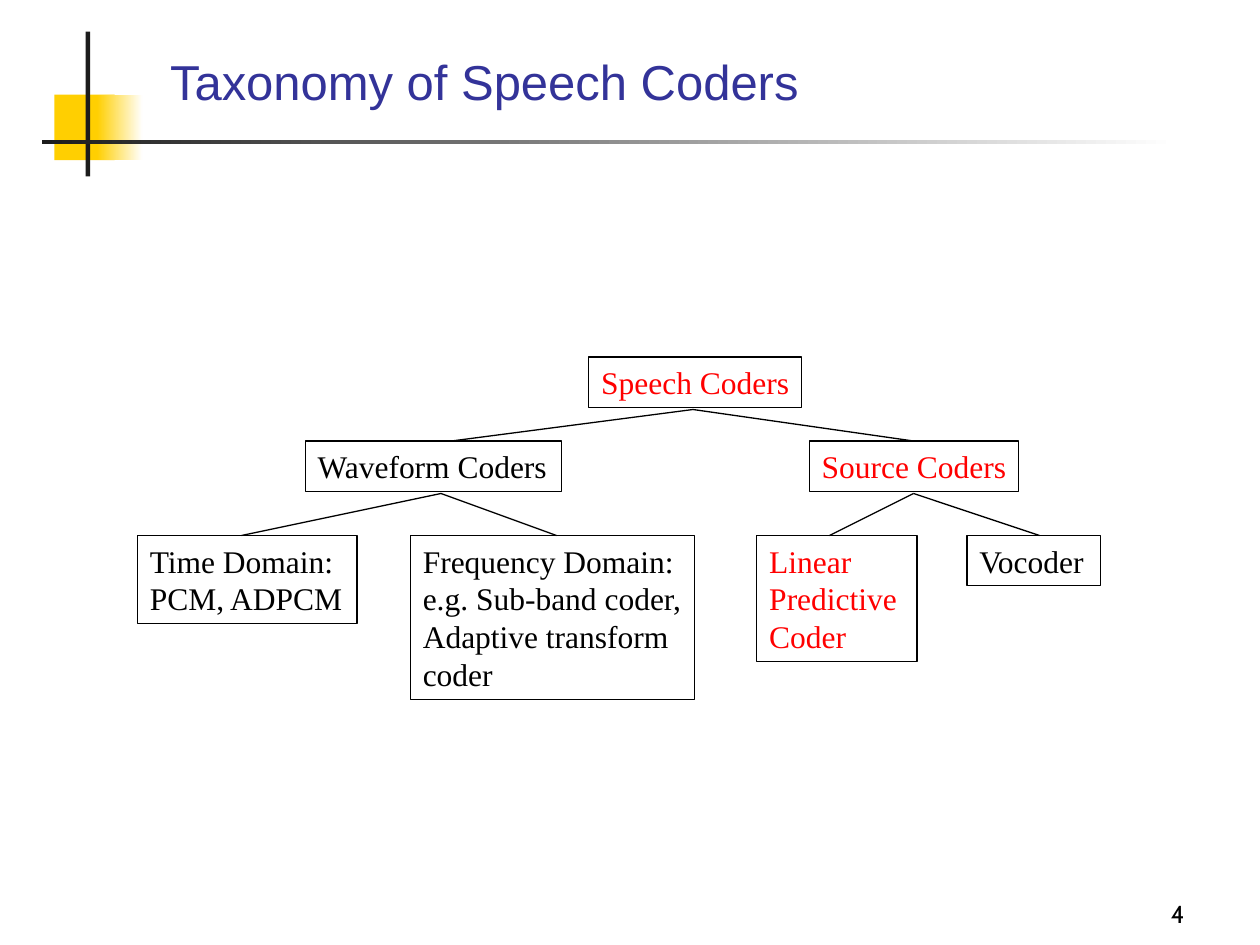
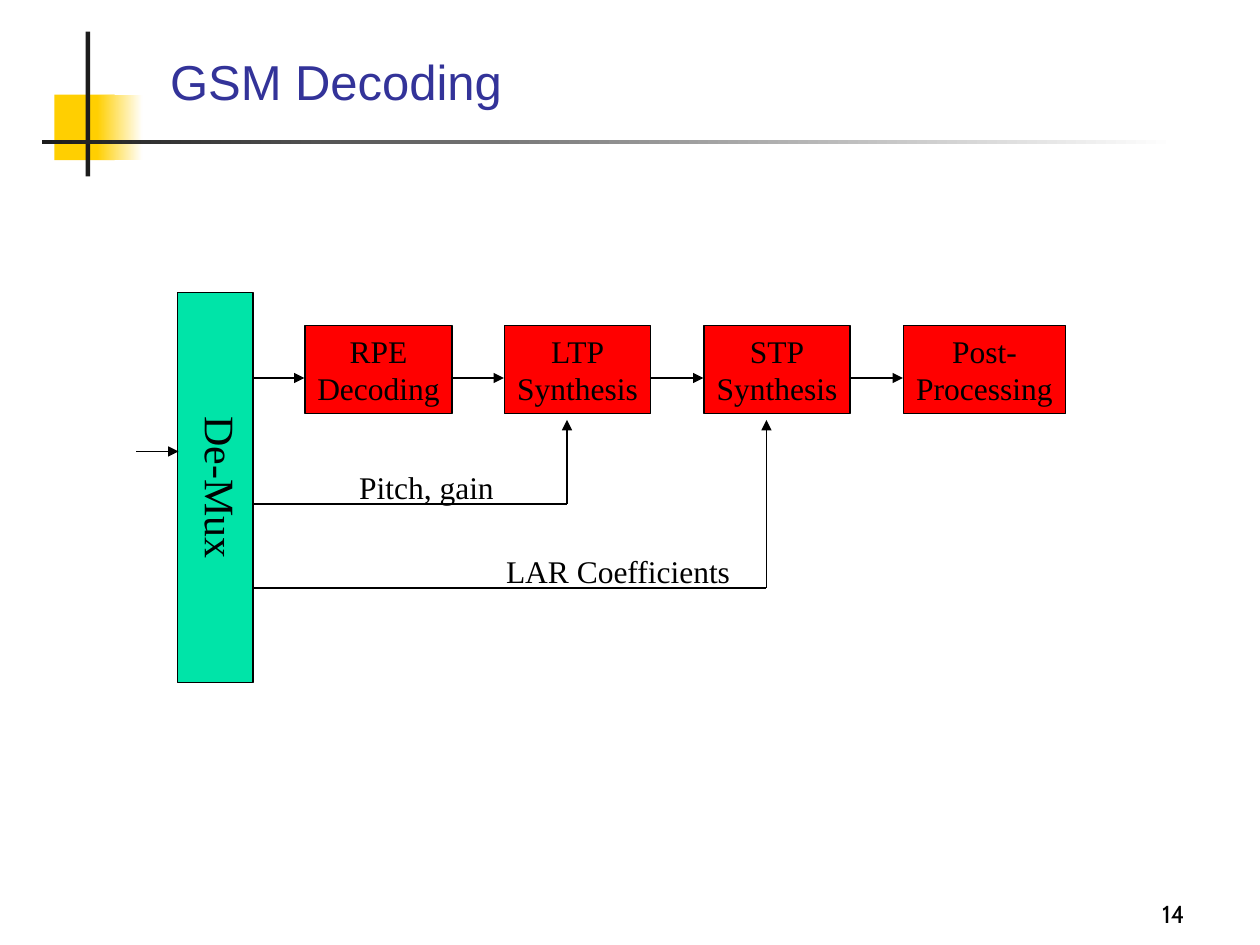
from dataclasses import dataclass

from lxml.etree import SubElement
from pptx import Presentation
from pptx.dml.color import RGBColor as Color
from pptx.enum.shapes import MSO_CONNECTOR as Connector, MSO_SHAPE as Shape
from pptx.enum.text import MSO_ANCHOR as Anchor, MSO_AUTO_SIZE as AutoSize, PP_ALIGN as Align
from pptx.oxml.ns import qn
from pptx.util import Pt


@dataclass(frozen=True)
class Theme:
    title: Color = Color(0x33, 0x33, 0x99)
    ink: Color = Color(0, 0, 0)
    accent: Color = Color(0xFF, 0, 0)
    demux: Color = Color(0, 0xE4, 0xA8)
    band_yellow: Color = Color(0xFF, 0xCF, 0x01)
    band_dark: Color = Color(0x1C, 0x1C, 0x1C)
    background: Color = Color(0xFF, 0xFF, 0xFF)
    title_font: str = "Arial"
    body_font: str = "Times New Roman"
    number_font: str = "Cabin"
    title_size: int = 28
    demux_size: int = 24
    body_size: int = 18
    number_size: int = 14
    line_width: float = 0.75


THEME = Theme()
TITLE_ONLY = 5


def set_text(shape, text, color=THEME.ink, size=THEME.body_size,
             font=THEME.body_font, align=Align.LEFT):
    shape.text_frame.text = text
    for paragraph in shape.text_frame.paragraphs:
        paragraph.alignment = align
        for run in paragraph.runs:
            run.font.name = font
            run.font.size = Pt(size)
            run.font.color.rgb = color


def add_rectangle(slide, left, top, width, height):
    shape = slide.shapes.add_shape(Shape.RECTANGLE, Pt(left), Pt(top), Pt(width), Pt(height))
    shape.shadow.inherit = False
    return shape


def fill_shape(shape, color, fade_to=None):
    """Fill solidly, or with a left-to-right gradient when fade_to is given."""
    if fade_to is None:
        shape.fill.solid()
        shape.fill.fore_color.rgb = color
        return
    shape.fill.gradient()
    shape.fill.gradient_angle = 0
    for stop, stop_color, position in zip(shape.fill.gradient_stops, (color, fade_to), (0, 1)):
        stop.color.rgb = stop_color
        stop.position = position


def outline(shape):
    shape.line.color.rgb = THEME.ink
    shape.line.width = Pt(THEME.line_width)


def fit_lines(shape, align):
    """Keep the lines as typed, with spare room at the margins so that none wraps."""
    frame = shape.text_frame
    frame.word_wrap = False
    frame.auto_size = AutoSize.SHAPE_TO_FIT_TEXT
    frame.vertical_anchor = Anchor.TOP
    frame.margin_right = Pt(3.6)
    frame.margin_left = Pt(3.6 if align == Align.CENTER else 7.2)


def box_height(text):
    return 7.2 + 21.6 * len(text.split("\n"))


def add_box(slide, text, left, top, width, color=THEME.ink, fill=None, align=Align.LEFT):
    shape = add_rectangle(slide, left, top, width, box_height(text))
    if fill is None:
        shape.fill.background()
    else:
        fill_shape(shape, fill)
    outline(shape)
    set_text(shape, text, color, align=align)
    fit_lines(shape, align)


def add_label(slide, text, left, top, width):
    label = slide.shapes.add_textbox(Pt(left), Pt(top), Pt(width), Pt(box_height(text)))
    set_text(label, text, align=Align.CENTER)
    fit_lines(label, Align.CENTER)


def add_line(slide, start, end, arrow=False):
    points = [Pt(value) for value in (*start, *end)]
    line = slide.shapes.add_connector(Connector.STRAIGHT, *points)
    outline(line)
    properties = line.element.spPr
    if arrow:
        SubElement(properties.find(qn("a:ln")), qn("a:tailEnd"), type="triangle")
    SubElement(properties, qn("a:effectLst"))


def add_slide(presentation, title, number):
    slide = presentation.slides.add_slide(presentation.slide_layouts[TITLE_ONLY])
    set_text(slide.shapes.title, title, THEME.title, THEME.title_size, THEME.title_font)
    number_box = slide.shapes.add_textbox(Pt(534), Pt(498), Pt(150), Pt(36))
    number_box.text_frame.word_wrap = True
    number_box.text_frame.vertical_anchor = Anchor.BOTTOM
    set_text(number_box, str(number), size=THEME.number_size,
             font=THEME.number_font, align=Align.RIGHT)
    return slide


def place_layout_title(layout):
    title = layout.placeholders[0]
    title.left, title.top, title.width, title.height = Pt(90), Pt(18), Pt(613.5), Pt(48.5)
    title.text_frame.vertical_anchor = Anchor.BOTTOM


def add_layout_band(slide):
    """Draw the cross and square on a slide, then move them to its layout."""
    bars = [
        ((31, 54, 34.5, 37.5), THEME.band_yellow, None),
        ((55.5, 54, 26, 37.5), THEME.band_yellow, THEME.background),
        ((49, 18, 2.5, 82.8), THEME.band_dark, None),
        ((24, 80, 648, 2.5), THEME.band_dark, THEME.background),
    ]
    for bounds, color, fade_to in bars:
        bar = add_rectangle(slide, *bounds)
        fill_shape(bar, color, fade_to)
        bar.line.fill.background()
        slide.slide_layout.shapes.element.append(bar.element)


def draw_taxonomy(slide):
    root_top, family_top, coder_top = 204, 252, 306
    nodes = [
        ("Speech Coders", 336.5, root_top, 121.5, THEME.accent),
        ("Waveform Coders", 174.5, family_top, 146.5, THEME.ink),
        ("Source Coders", 462.5, family_top, 119.5, THEME.accent),
        ("Time Domain:\nPCM, ADPCM", 78.5, coder_top, 125.5, THEME.ink),
        ("Frequency Domain:\ne.g. Sub-band coder,\nAdaptive transform\ncoder",
         234.5, coder_top, 162.5, THEME.ink),
        ("Linear\nPredictive\nCoder", 432.5, coder_top, 91.5, THEME.accent),
        ("Vocoder", 552.5, coder_top, 76.5, THEME.ink),
    ]
    for node in nodes:
        add_box(slide, *node)

    branches = [
        (252, family_top, (138, 318), coder_top),
        (522, family_top, (474, 594), coder_top),
        (396, root_top, (258, 522), family_top),
    ]
    for parent_x, parent_top, child_xs, child_top in branches:
        for child_x in child_xs:
            add_line(slide, (parent_x, parent_top + 30), (child_x, child_top))


def add_demux(slide):
    demux = add_rectangle(slide, 101.5, 167, 43.2, 223.2)
    fill_shape(demux, THEME.demux)
    outline(demux)
    set_text(demux, "De-Mux", size=THEME.demux_size, align=Align.CENTER)
    frame = demux.text_frame
    frame.word_wrap = True
    frame.auto_size = AutoSize.SHAPE_TO_FIT_TEXT
    frame.vertical_anchor = Anchor.TOP
    frame.margin_left = frame.margin_right = Pt(3.6)
    frame.margin_top = frame.margin_bottom = Pt(7.2)
    body = demux.element.txBody.find(qn("a:bodyPr"))
    body.set("vert", "eaVert")
    body.set("anchorCtr", "1")


def draw_decoder(slide):
    first_left, stage_step, stage_top, arrow_y = 174.3, 114, 186, 216
    demux_right, arrow_length = 144, 30
    stages = [("RPE\nDecoding", 84), ("LTP\nSynthesis", 83.5),
              ("STP\nSynthesis", 83.5), ("Post-\nProcessing", 92.5)]
    add_demux(slide)
    add_line(slide, (78, 258), (102, 258), arrow=True)
    for index, (name, width) in enumerate(stages):
        offset = index * stage_step
        add_box(slide, name, first_left + offset, stage_top, width,
                fill=THEME.accent, align=Align.CENTER)
        arrow_x = demux_right + offset
        add_line(slide, (arrow_x, arrow_y), (arrow_x + arrow_length, arrow_y), arrow=True)

    side_inputs = [("Pitch, gain", 198, 91.5, 324, 288),
                   ("LAR Coefficients", 282, 142.5, 438, 336)]
    for name, label_left, label_width, turn_x, y in side_inputs:
        add_line(slide, (demux_right, y), (turn_x, y))
        add_line(slide, (turn_x, y), (turn_x, 240), arrow=True)
        add_label(slide, name, label_left, y - 24, label_width)


def main():
    presentation = Presentation()
    presentation.slide_width, presentation.slide_height = Pt(720), Pt(540)
    place_layout_title(presentation.slide_layouts[TITLE_ONLY])
    taxonomy = add_slide(presentation, "Taxonomy of Speech Coders", 4)
    add_layout_band(taxonomy)
    draw_taxonomy(taxonomy)
    draw_decoder(add_slide(presentation, "GSM Decoding", 14))
    presentation.save("out.pptx")


if __name__ == "__main__":
    main()
